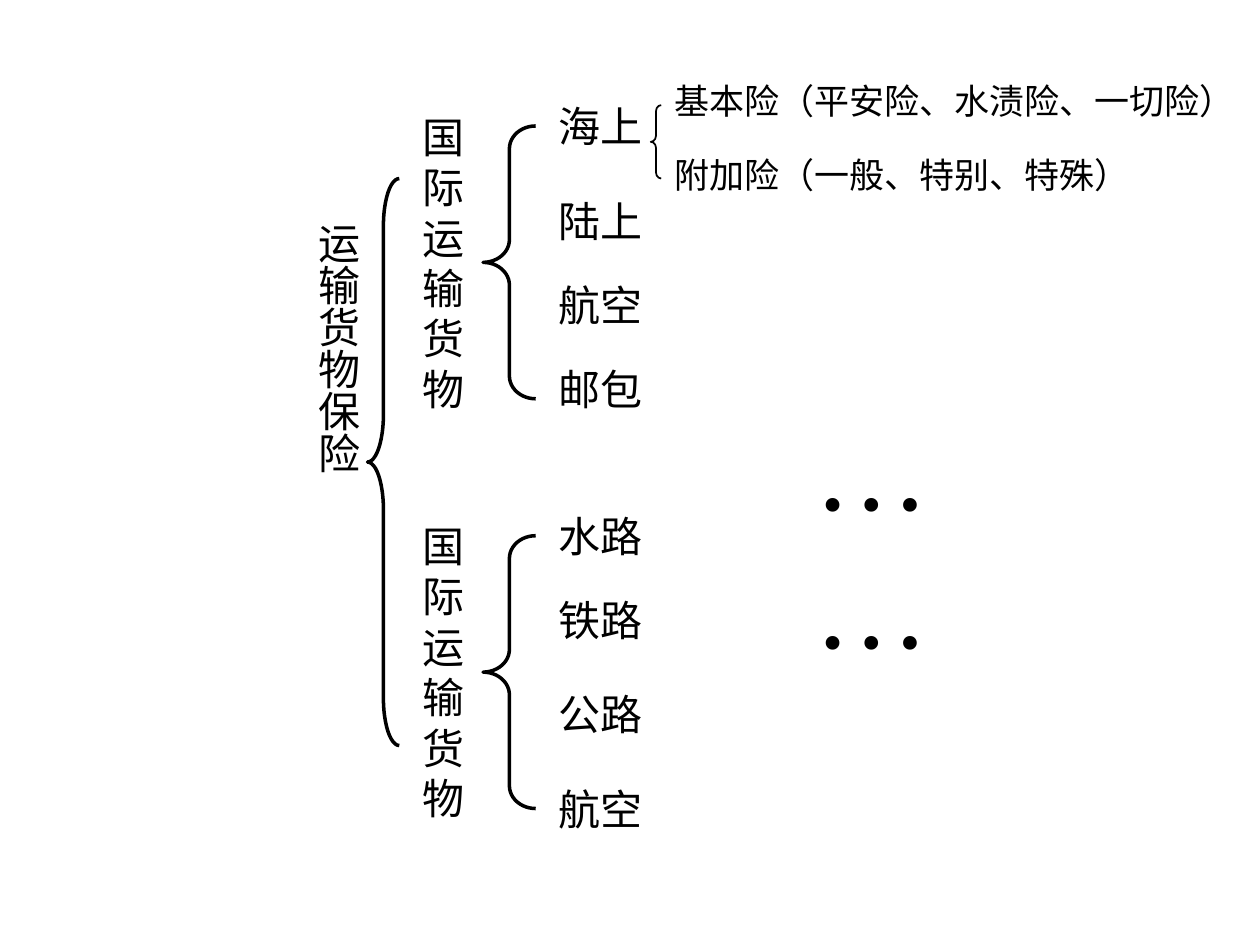
from pptx import Presentation
from pptx.dml.color import RGBColor
from pptx.enum import shapes, text
from pptx.util import Cm, Pt

BLACK = RGBColor(0, 0, 0)
FONT = "Times New Roman"

presentation = Presentation()
presentation.slide_width, presentation.slide_height = Cm(25.4), Cm(19.05)
slide = presentation.slides.add_slide(presentation.slide_layouts[6])


def add_label(words, left, top, width, height, size=24, align=text.PP_ALIGN.LEFT):
    shape = slide.shapes.add_textbox(Cm(left), Cm(top), Cm(width), Cm(height))
    frame = shape.text_frame
    frame.word_wrap = True
    paragraph = frame.paragraphs[0]
    paragraph.text = words
    paragraph.alignment = align
    paragraph.font.size = Pt(size)
    paragraph.font.name = FONT
    paragraph.font.color.rgb = BLACK
    return shape


# Root: vertical writing, centred along its column
root = add_label("运输货物保险", 5.94, 4.23, 1.52, 8.69, align=text.PP_ALIGN.CENTER)
frame = root.text_frame
frame.margin_left = frame.margin_right = Cm(0.13)
frame.margin_top = frame.margin_bottom = Cm(0.25)
frame._txBody.bodyPr.set("vert", "eaVert")

# Branches: narrow boxes that wrap after each character
for top in (2.12, 10.37):
    add_label("国际运输货物", 8.26, top, 1.27, 6.35)

# Transport modes
modes = [
    ("海上", 1.91), ("陆上", 3.81), ("航空", 5.5), ("邮包", 7.2),
    ("水路", 10.16), ("铁路", 11.85), ("公路", 13.76), ("航空", 15.66),
]
for mode, top in modes:
    add_label(mode, 11.01, top, 5.72, 1.27)

# Kinds of marine cover
add_label("基本险（平安险、水渍险、一切险）", 13.34, 1.48, 12.07, 1.11, size=20)
add_label("附加险（一般、特别、特殊）", 13.34, 2.96, 10.16, 1.11, size=20)

# Braces: left, top, width, height, line width
braces = [
    (7.41, 3.6, 0.64, 11.43, 2),
    (9.74, 2.54, 1.06, 5.5, 2),
    (9.74, 10.8, 1.06, 5.5, 2),
    (13.12, 2.12, 0.21, 1.48, 1),
]
for left, top, width, height, weight in braces:
    brace = slide.shapes.add_shape(
        shapes.MSO_SHAPE.LEFT_BRACE, Cm(left), Cm(top), Cm(width), Cm(height))
    brace.adjustments[0] = height / 12 / width  # curl is a twelfth of the height
    brace.shadow.inherit = False
    brace.fill.background()
    brace.line.color.rgb = BLACK
    brace.line.width = Pt(weight)

# Further items, wrapped onto two lines
add_label("……", 15.24, 7.83, 4.65, 5.84, size=66, align=text.PP_ALIGN.CENTER)

presentation.save("out.pptx")
